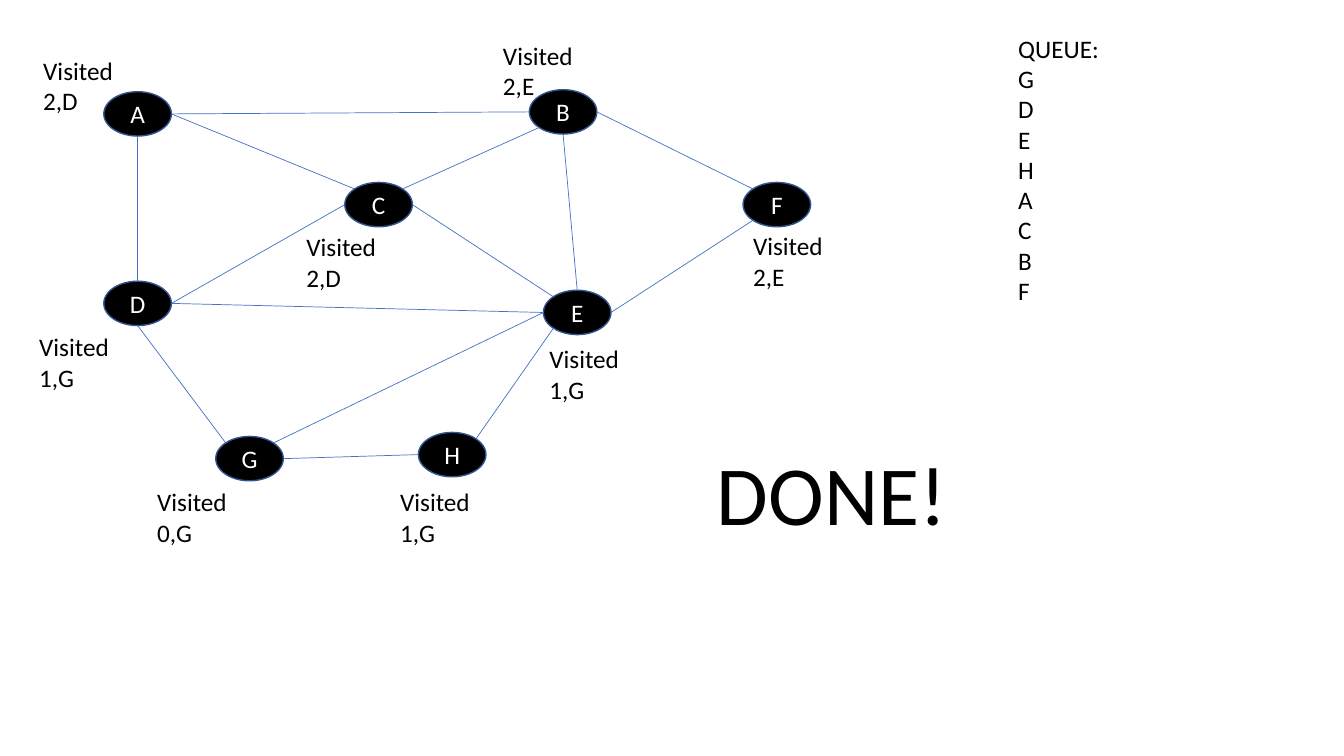
from dataclasses import dataclass
from lxml.etree import SubElement
from pptx import Presentation
from pptx.dml.color import RGBColor
from pptx.enum.shapes import MSO_CONNECTOR, MSO_SHAPE
from pptx.enum.text import MSO_ANCHOR, MSO_AUTO_SIZE, PP_ALIGN
from pptx.oxml.ns import qn
from pptx.util import Inches, Pt


@dataclass(frozen=True)
class Theme:
    font: str = "Calibri"
    body_size: int = 18
    done_size: int = 60
    black: RGBColor = RGBColor(0x00, 0x00, 0x00)
    white: RGBColor = RGBColor(0xFF, 0xFF, 0xFF)
    outline: RGBColor = RGBColor(0x32, 0x54, 0x91)
    edge: RGBColor = RGBColor(0x44, 0x72, 0xC4)


theme = Theme()
presentation = Presentation()
presentation.slide_width = Inches(13.33)
presentation.slide_height = Inches(7.5)
slide = presentation.slides.add_slide(presentation.slide_layouts[6])


def write_text(lines, shape, size=theme.body_size, color=theme.black,
               align=PP_ALIGN.LEFT, anchor=MSO_ANCHOR.TOP, fit=MSO_AUTO_SIZE.NONE):
    frame = shape.text_frame
    frame.word_wrap = True
    frame.auto_size = fit
    frame.vertical_anchor = anchor
    frame.text = "\n".join(lines)
    for paragraph in frame.paragraphs:
        paragraph.alignment = align
        paragraph.font.name = theme.font
        paragraph.font.size = Pt(size)
        paragraph.font.color.rgb = color


# Graph nodes: left and top of each ellipse
NODE_WIDTH, NODE_HEIGHT = 0.67, 0.44
nodes = {
    "A": (1.03, 0.91), "D": (1.03, 2.79), "G": (2.14, 4.33), "C": (3.42, 1.81),
    "B": (5.25, 0.89), "E": (5.39, 2.88), "H": (4.15, 4.29), "F": (7.37, 1.81),
}
for name, (left, top) in nodes.items():
    node = slide.shapes.add_shape(MSO_SHAPE.OVAL, Inches(left), Inches(top),
                                  Inches(NODE_WIDTH), Inches(NODE_HEIGHT))
    node.shadow.inherit = False
    node.fill.solid()
    node.fill.fore_color.rgb = theme.black
    node.line.color.rgb = theme.outline
    node.line.width = Pt(1)
    write_text([name], node, color=theme.white, align=PP_ALIGN.CENTER,
               anchor=MSO_ANCHOR.MIDDLE)

# Attachment sites as fractions of the ellipse's width and height
sites = {
    "top": (0.5, 0), "bottom": (0.5, 1), "left": (0, 0.5), "right": (1, 0.5),
    "top left": (0.15, 0.15), "top right": (0.85, 0.15),
    "bottom left": (0.15, 0.85),
}


def site_position(name, site):
    left, top = nodes[name]
    across, down = sites[site]
    return Inches(left + across * NODE_WIDTH), Inches(top + down * NODE_HEIGHT)


# Graph edges
edges = [
    ("A", "right", "C", "top left"), ("A", "right", "B", "left"),
    ("A", "bottom", "D", "top"), ("D", "bottom", "G", "top left"),
    ("G", "right", "H", "left"), ("H", "top right", "E", "bottom left"),
    ("E", "right", "F", "bottom left"), ("B", "right", "F", "top left"),
    ("B", "bottom", "E", "top"), ("D", "right", "C", "left"),
    ("C", "top right", "B", "bottom left"), ("D", "right", "E", "left"),
    ("C", "right", "E", "top left"), ("G", "top right", "E", "left"),
]
for start, start_site, end, end_site in edges:
    edge = slide.shapes.add_connector(
        MSO_CONNECTOR.STRAIGHT,
        *site_position(start, start_site), *site_position(end, end_site))
    edge.line.color.rgb = theme.edge
    edge.line.width = Pt(0.5)
    SubElement(edge._element.spPr, qn("a:effectLst"))

# Queue, visited labels (distance and predecessor) and closing word
queue = ["QUEUE:", *"GDEHACBF"]
visited = [
    (1.46, 4.78, "0,G"), (0.29, 3.24, "1,G"), (4.89, 0.35, "2,E"),
    (5.35, 3.36, "1,G"), (0.33, 0.5, "2,D"), (2.94, 2.25, "2,D"),
    (3.87, 4.78, "1,G"), (7.37, 2.24, "2,E"),
]
texts = [
    (10, 0.28, 1.41, 2.83, queue, theme.body_size),
    *((left, top, 1.88, 0.71, ["Visited", state], theme.body_size)
      for left, top, state in visited),
    (7.01, 4.33, 3.55, 1.11, ["DONE!"], theme.done_size),
]
for left, top, width, height, lines, size in texts:
    box = slide.shapes.add_textbox(Inches(left), Inches(top),
                                   Inches(width), Inches(height))
    write_text(lines, box, size=size, fit=MSO_AUTO_SIZE.SHAPE_TO_FIT_TEXT)

presentation.save("out.pptx")
